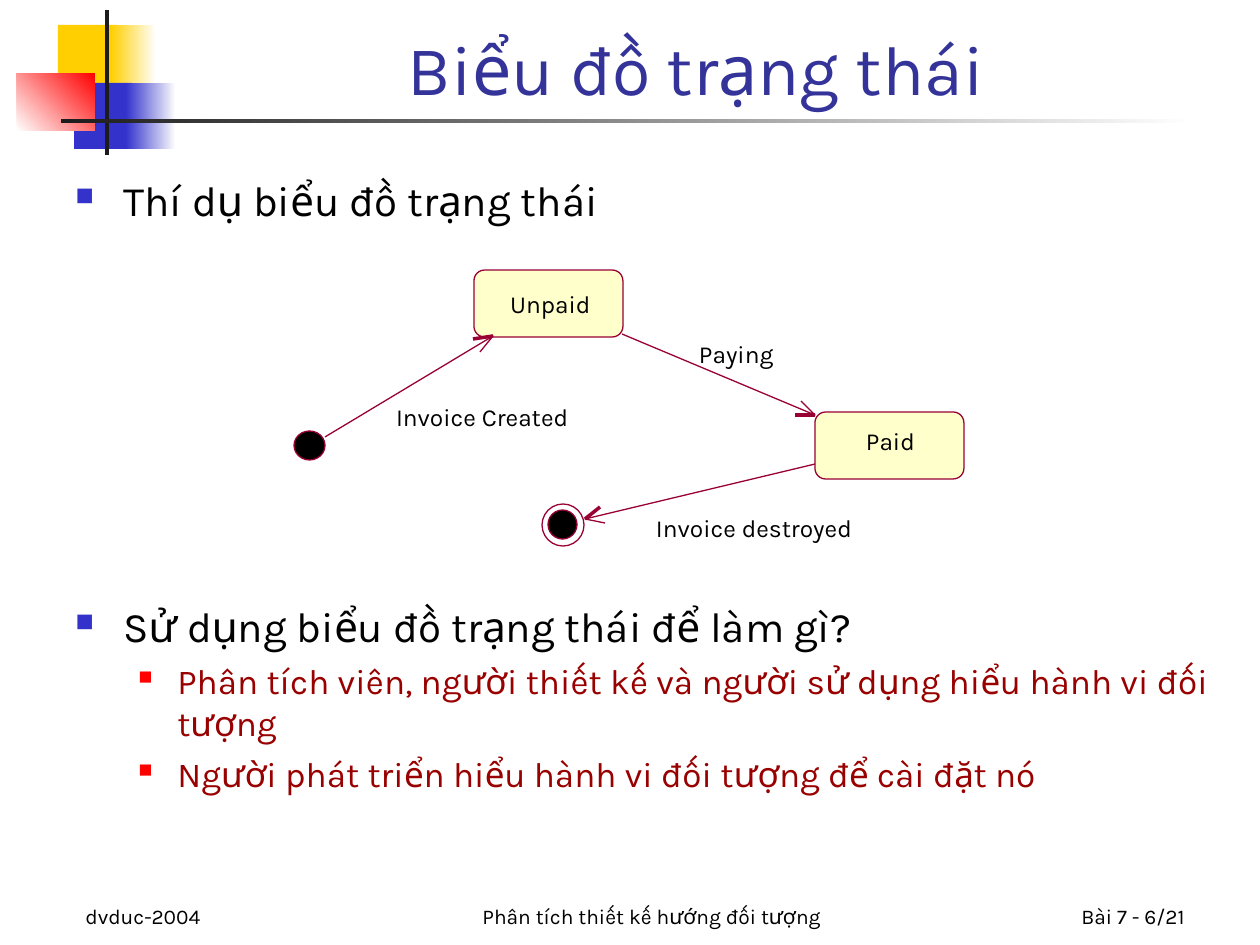
"""Build a slide on state diagrams with an invoice life cycle example."""
from lxml import etree
from pptx import Presentation, util as u
from pptx.dml.color import RGBColor
from pptx.enum import shapes, text
from pptx.oxml.ns import qn

PX = 914400 / 126
FONT = "Karla"

BLACK = RGBColor(0x00, 0x00, 0x00)
WHITE = RGBColor(0xFF, 0xFF, 0xFF)
YELLOW = RGBColor(0xFF, 0xCF, 0x01)
BLUE = RGBColor(0x33, 0x33, 0xCC)
RED = RGBColor(0xFF, 0x00, 0x00)
CHARCOAL = RGBColor(0x1C, 0x1C, 0x1C)
TITLE_BLUE = RGBColor(0x33, 0x33, 0x99)
DARK_RED = RGBColor(0x99, 0x00, 0x00)
CREAM = RGBColor(0xFF, 0xFF, 0xCC)
MAROON = RGBColor(0x99, 0x00, 0x33)

RECT = shapes.MSO_SHAPE.RECTANGLE
OVAL = shapes.MSO_SHAPE.OVAL
ROUNDED = shapes.MSO_SHAPE.ROUNDED_RECTANGLE
LEFT, CENTER, RIGHT = text.PP_ALIGN.LEFT, text.PP_ALIGN.CENTER, text.PP_ALIGN.RIGHT
BOTTOM = text.MSO_ANCHOR.BOTTOM

DECORATION = [
    ((58, 25, 60, 66), (YELLOW,), 0),
    ((111, 25, 45, 66), (YELLOW, WHITE), 0),
    ((74, 83, 58, 66), (BLUE,), 0),
    ((126, 83, 50, 66), (BLUE, WHITE), 0),
    ((17, 73, 78, 58), (WHITE, RED), 45),
    ((105, 10, 4, 145), (CHARCOAL,), 0),
    ((61, 119, 1134, 4), (CHARCOAL, WHITE), 0),
]
TITLE = ("Biểu đồ trạng thái", (159, 10, 1074, 106), CENTER)
FOOTERS = [
    ("dvduc-2004", (73, 872, 262, 63), LEFT),
    ("Phân tích thiết kế hướng đối tượng", (410, 872, 483, 63), CENTER),
    ("Bài 7 - 6/21", (935, 872, 262, 63), RIGHT),
]
BODY = [
    ((63, 168, 1171, 60), [(0, "Thí dụ biểu đồ trạng thái")]),
    ((63, 594, 1171, 267), [
        (0, "Sử dụng biểu đồ trạng thái để làm gì?"),
        (1, "Phân tích viên, người thiết kế và người sử dụng hiểu hành vi đối tượng"),
        (1, "Người phát triển hiểu hành vi đối tượng để cài đặt nó"),
    ]),
]
LEVELS = [
    dict(size=24, color=BLACK, before=6, margin=48, hang=48, bullet=BLUE, percent=60),
    dict(size=20, color=DARK_RED, before=5, margin=102, hang=39, bullet=RED, percent=55),
]
NODES = [
    (OVAL, (294, 431, 31, 29), BLACK),
    (ROUNDED, (474, 270, 149, 67), CREAM),
    (ROUNDED, (815, 412, 149, 67), CREAM),
    (OVAL, (542, 504, 42, 42), None),
    (OVAL, (548, 510, 29, 29), BLACK),
]
TRANSITIONS = [
    dict(start=(325, 437), tip=(493, 336), wings=((480, 352), (473, 339))),
    dict(start=(622, 334), tip=(815, 415), wings=((801, 401), (795, 415))),
    dict(start=(815, 464), tip=(585, 519), wings=((605, 523), (600, 507))),
]
LABELS = [
    ("Unpaid", (510, 289, 83, 29)),
    ("Paid", (866, 426, 50, 29)),
    ("Invoice Created", (396, 402, 180, 29)),
    ("Paying", (699, 339, 78, 29)),
    ("Invoice destroyed", (656, 513, 205, 29)),
]


def emu(values):
    return [round(value * PX) for value in values]


def assign(target, formats):
    for name, value in formats.items():
        setattr(target, name, value)


def outline(line):
    line.color.rgb = MAROON
    line.width = u.Pt(0)


def paint(shape, colors, angle=0):
    shape.shadow.inherit = False
    if len(colors) > 1:
        shape.fill.gradient()
        shape.fill.gradient_angle = angle
        for stop, color in zip(shape.fill.gradient_stops, colors):
            stop.color.rgb = color
    elif colors:
        shape.fill.solid()
        shape.fill.fore_color.rgb = colors[0]
    else:
        shape.fill.background()


def write(paragraph, words, size, color, align=LEFT):
    paragraph.alignment = align
    run = paragraph.add_run()
    run.text = words
    assign(run.font, dict(name=FONT, size=u.Pt(size)))
    run.font.color.rgb = color


def add_text(slide, words, box, align, size, color, **frame_formats):
    frame = slide.shapes.add_textbox(*emu(box)).text_frame
    assign(frame, dict(dict(word_wrap=True), **frame_formats))
    write(frame.paragraphs[0], words, size, color, align)


def add_bullet(paragraph, level, words):
    style = LEVELS[level]
    write(paragraph, words, style["size"], style["color"])
    assign(paragraph, dict(level=level, space_before=u.Pt(style["before"])))
    properties = paragraph._p.get_or_add_pPr()
    margin, hang = emu((style["margin"], style["hang"]))
    properties.set("marL", str(margin))
    properties.set("indent", str(-hang))
    color = etree.SubElement(properties, qn("a:buClr"))
    etree.SubElement(color, qn("a:srgbClr"), val=str(style["bullet"]))
    etree.SubElement(properties, qn("a:buSzPct"), val=str(style["percent"] * 1000))
    etree.SubElement(properties, qn("a:buChar"), char="■")


def add_body(slide, box, bullets):
    frame = slide.shapes.add_textbox(*emu(box)).text_frame
    frame.word_wrap = True
    for index, (level, words) in enumerate(bullets):
        paragraph = frame.add_paragraph() if index else frame.paragraphs[0]
        add_bullet(paragraph, level, words)


def add_node(slide, kind, box, color):
    node = slide.shapes.add_shape(kind, *emu(box))
    paint(node, (color,) if color is not None else ())
    outline(node.line)
    if kind == ROUNDED:
        node.adjustments[0] = 0.16


def add_transition(slide, start, tip, wings):
    builder = slide.shapes.build_freeform(*start, scale=PX)
    builder.add_line_segments([tip, wings[0]], close=False)
    arrow = builder.convert_to_shape()
    paint(arrow, ())
    outline(arrow.line)
    wing = slide.shapes.add_connector(shapes.MSO_CONNECTOR.STRAIGHT, *emu(tip + wings[1]))
    outline(wing.line)
    etree.SubElement(wing._element.spPr, qn("a:effectLst"))


def main():
    presentation = Presentation()
    presentation.slide_width, presentation.slide_height = emu((1260, 945))
    slide = presentation.slides.add_slide(presentation.slide_layouts[6])
    for box, colors, angle in DECORATION:
        shape = slide.shapes.add_shape(RECT, *emu(box))
        paint(shape, colors, angle)
        shape.line.fill.background()
    for footer in FOOTERS:
        add_text(slide, *footer, 12, BLACK, vertical_anchor=BOTTOM)
    add_text(slide, *TITLE, 40, TITLE_BLUE, vertical_anchor=BOTTOM)
    for box, bullets in BODY:
        add_body(slide, box, bullets)
    for node in NODES:
        add_node(slide, *node)
    for transition in TRANSITIONS:
        add_transition(slide, **transition)
    for words, box in LABELS:
        add_text(slide, words, box, LEFT, 14, BLACK, word_wrap=False,
                 auto_size=text.MSO_AUTO_SIZE.SHAPE_TO_FIT_TEXT,
                 margin_left=0, margin_top=0, margin_right=0, margin_bottom=0)
    presentation.save("out.pptx")


if __name__ == "__main__":
    main()
